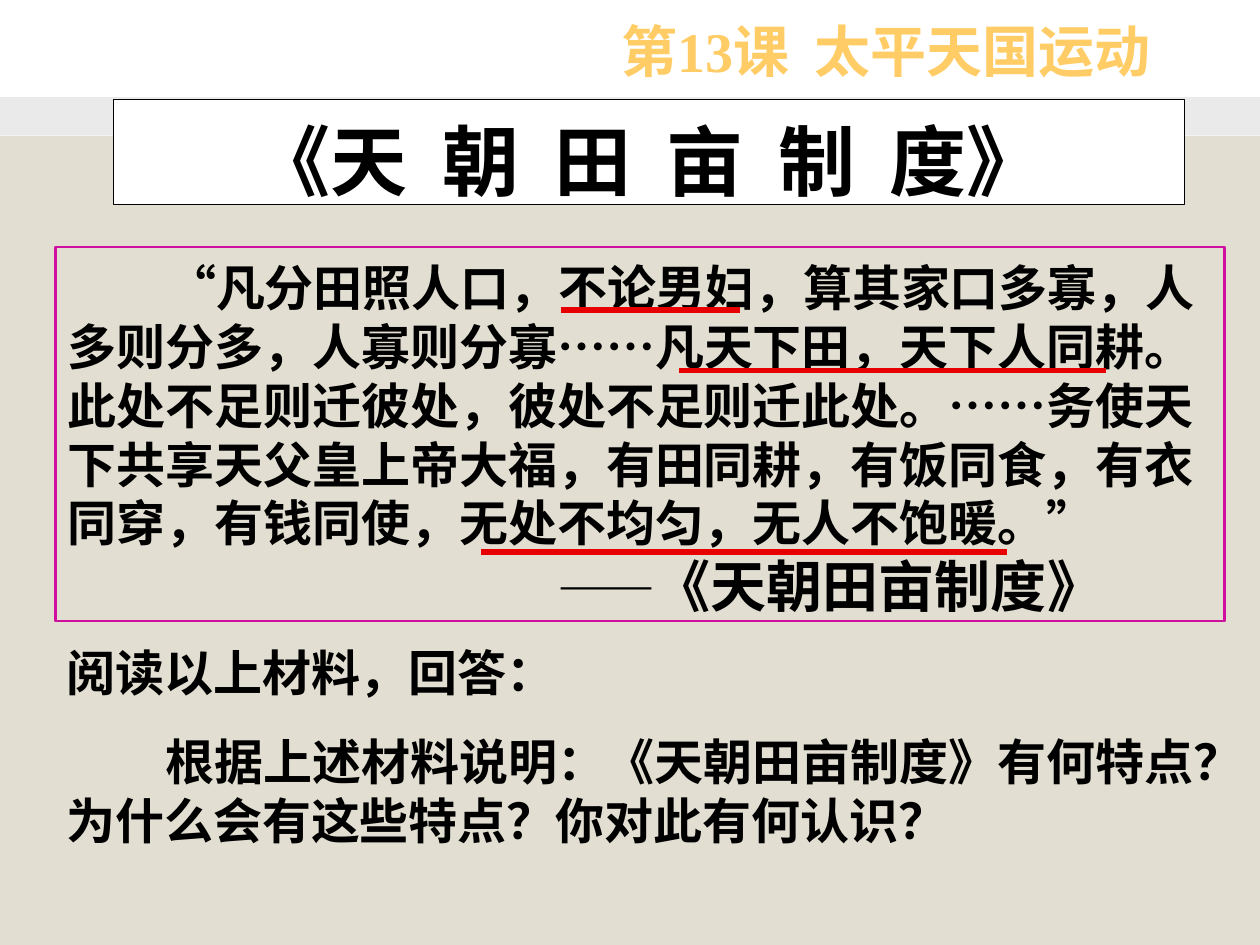
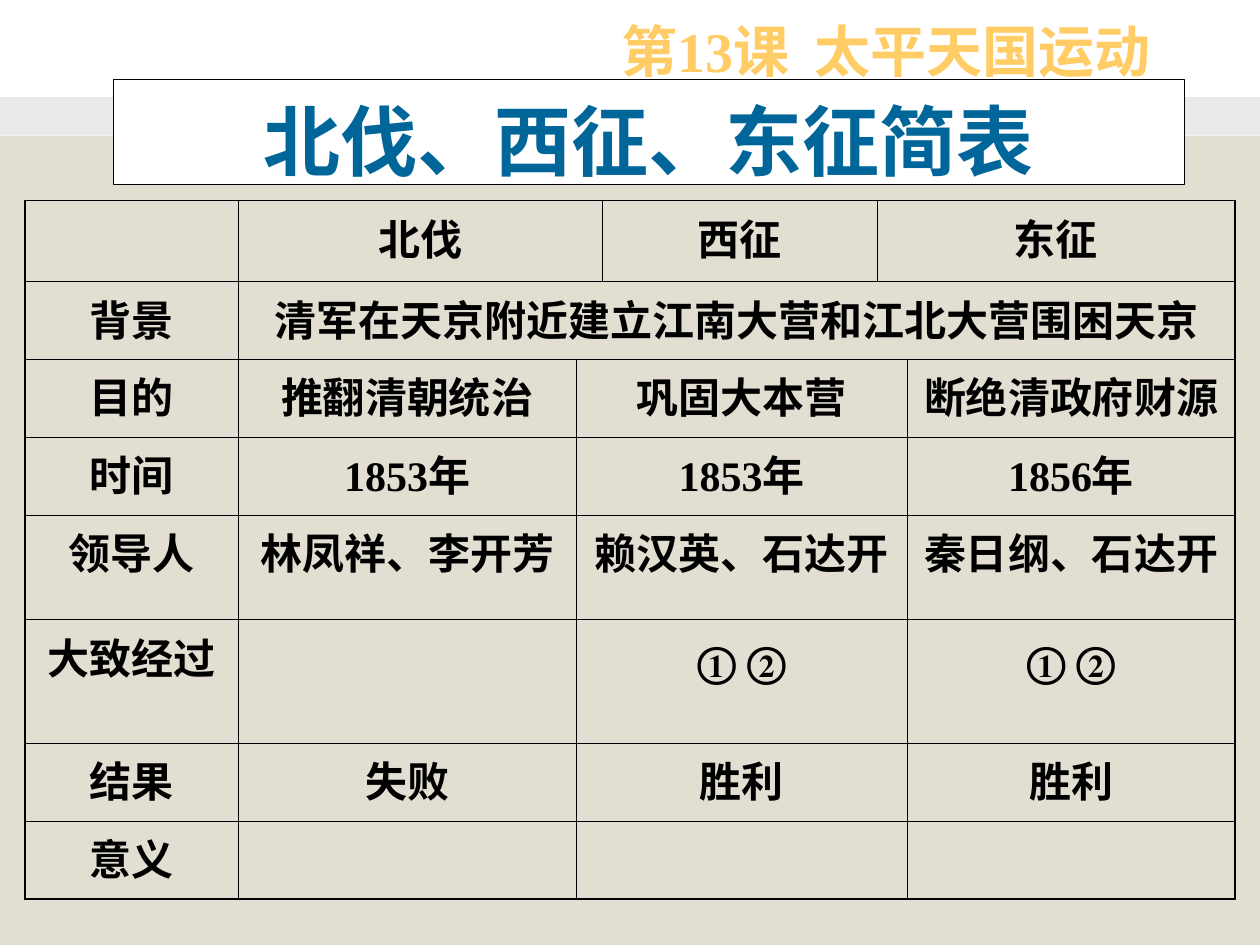
from dataclasses import dataclass

from lxml import etree
from pptx import Presentation
from pptx.dml.color import RGBColor
from pptx.enum.shapes import MSO_CONNECTOR, MSO_SHAPE
from pptx.enum.text import MSO_ANCHOR, PP_ALIGN
from pptx.oxml.ns import qn
from pptx.util import Cm, Pt

RECTANGLE = MSO_SHAPE.RECTANGLE
STRAIGHT = MSO_CONNECTOR.STRAIGHT
TOP = MSO_ANCHOR.TOP
LEFT, CENTER = PP_ALIGN.LEFT, PP_ALIGN.CENTER


@dataclass(frozen=True)
class Theme:
    ink: str = "000000"
    paper: str = "FFFFFF"
    band: str = "EAEAEA"
    ground: str = "E2DFD2"
    lesson: str = "FFCC66"
    heading: str = "006699"
    frame: str = "CF0F9D"
    mark: str = "E80000"
    serif: str = "Times New Roman"
    sans: str = "Arial"
    chinese: str = "Noto Sans CJK SC"
    title_size: int = 44
    large_size: int = 32
    body_size: int = 28
    table_size: int = 24
    single_line: float = 1.3
    body_line: float = 1.2
    thin: float = 0.45
    thick: float = 1.08


THEME = Theme()

LESSON = "第13课  太平天国运动"

DECREE_TITLE = "《天  朝  田  亩  制  度》"
DECREE = [
    ("“", THEME.sans),
    ("凡分田照人口，不论男妇，算其家口多寡，人多则分多，人寡则分寡", THEME.serif),
    ("……", THEME.sans),
    ("凡天下田，天下人同耕。此处不足则迁彼处，彼处不足则迁此处。", THEME.serif),
    ("……", THEME.sans),
    ("务使天下共享天父皇上帝大福，有田同耕，有饭同食，有衣同穿，有钱同使，"
     "无处不均匀，无人不饱暖。", THEME.serif),
    ("”", THEME.sans),
]
DECREE_DASH = "——"
DECREE_SOURCE = "《天朝田亩制度》"
TASK = "阅读以上材料，回答："
QUESTION = "根据上述材料说明：《天朝田亩制度》有何特点？为什么会有这些特点？你对此有何认识？"
UNDERLINES = [(13.69, 22.3, 7.47), (9.7, 20.29, 11.13), (11.3, 14.91, 6.25)]

CAMPAIGN_TITLE = "北伐、西征、东征简表"
COLUMN_WIDTHS = [4.29, 6.81, 0.53, 5.54, 0.61, 6.6]
ROW_HEIGHTS = [1.63, 1.57, 1.57, 1.57, 2.11, 2.49, 1.57, 1.57]
HEADER_SPANS, BACKGROUND_SPANS, CAMPAIGN_SPANS = (1, 2, 1, 2), (1, 5), (1, 1, 3, 1)
CAMPAIGNS = [
    (HEADER_SPANS, ["", "北伐", "西征", "东征"]),
    (BACKGROUND_SPANS, ["背景", "清军在天京附近建立江南大营和江北大营围困天京"]),
    (CAMPAIGN_SPANS, ["目的", "推翻清朝统治", "巩固大本营", "断绝清政府财源"]),
    (CAMPAIGN_SPANS, ["时间", "1853年", "1853年", "1856年"]),
    (CAMPAIGN_SPANS, ["领导人", "林凤祥、李开芳", "赖汉英、石达开", "秦日纲、石达开"]),
    (CAMPAIGN_SPANS, ["大致经过", "", "① ②", "① ②"]),
    (CAMPAIGN_SPANS, ["结果", "失败", "胜利", "胜利"]),
    (CAMPAIGN_SPANS, ["意义", "", "", ""]),
]


def color(value):
    return RGBColor.from_string(value)


def add_span(para, text, size, ink=THEME.ink, font=THEME.serif):
    span = para.add_run()
    span.text = text
    span.font.size = Pt(size)
    span.font.bold = True
    span.font.name = font
    span.font.color.rgb = color(ink)
    east_asian = etree.SubElement(span.font._element, qn("a:ea"))
    east_asian.set("typeface", THEME.chinese)


def format_para(para, size, line=THEME.single_line, align=LEFT, before=0, left=0, first=0):
    para.alignment = align
    para.line_spacing = Pt(round(size * line, 1))
    para.space_before = Pt(before)
    properties = para._p.get_or_add_pPr()
    properties.set("marL", str(Cm(left)))
    properties.set("indent", str(Cm(first)))


def write(para, text, size, ink=THEME.ink, font=THEME.serif, **layout):
    format_para(para, size, **layout)
    add_span(para, text, size, ink, font)


def prepare_frame(box, top=0.13):
    frame = box.text_frame
    frame.word_wrap = True
    frame.vertical_anchor = TOP
    frame.margin_left = frame.margin_right = Cm(0.25)
    frame.margin_top, frame.margin_bottom = Cm(top), Cm(0.13)
    return frame


def add_box(page, left, top, width, height, fill=None, line=None, weight=0.75):
    box = page.shapes.add_shape(RECTANGLE, Cm(left), Cm(top), Cm(width), Cm(height))
    box.shadow.inherit = False
    if fill:
        box.fill.solid()
        box.fill.fore_color.rgb = color(fill)
    else:
        box.fill.background()
    if line:
        box.line.color.rgb = color(line)
        box.line.width = Pt(weight)
    else:
        box.line.fill.background()
    return box


def add_page(deck):
    page = deck.slides.add_slide(deck.slide_layouts[6])
    page.background.fill.solid()
    page.background.fill.fore_color.rgb = color(THEME.paper)
    lesson = page.shapes.add_textbox(Cm(12.27), Cm(0.1), Cm(12.7), Cm(1.63))
    write(prepare_frame(lesson).paragraphs[0], LESSON, THEME.large_size, THEME.lesson)
    add_box(page, 0, 1.96, 25.4, 0.77, fill=THEME.band)
    add_box(page, 0, 2.74, 25.4, 16.31, fill=THEME.ground)
    return page


def add_title(page, text, top, **style):
    box = add_box(page, 2.29, top, 21.59, 2.12, THEME.paper, THEME.ink)
    write(prepare_frame(box).paragraphs[0], text, THEME.title_size, align=CENTER, **style)


def add_underline(page, start, end, height):
    line = page.shapes.add_connector(STRAIGHT, Cm(start), Cm(height), Cm(end), Cm(height))
    line.line.color.rgb = color(THEME.mark)
    line.line.width = Pt(3)
    etree.SubElement(line._element.spPr, qn("a:effectLst"))


def build_decree(deck):
    page = add_page(deck)
    size, line = THEME.body_size, THEME.body_line

    decree = prepare_frame(add_box(page, 1.12, 4.98, 23.57, 7.54, line=THEME.frame, weight=1.5),
                           top=0.22)
    verse = decree.paragraphs[0]
    format_para(verse, size, line=line, first=2)
    for text, font in DECREE:
        add_span(verse, text, size, font=font)
    source = decree.add_paragraph()
    format_para(source, THEME.large_size, line=line, left=9.86)
    add_span(source, DECREE_DASH, size, font=THEME.chinese)
    add_span(source, DECREE_SOURCE, THEME.large_size)

    task_box = page.shapes.add_textbox(Cm(1.09), Cm(12.73), Cm(23.39), Cm(4.45))
    task = prepare_frame(task_box, top=0.22)
    write(task.paragraphs[0], TASK, size, line=line)
    write(task.add_paragraph(), QUESTION, size, line=line, before=17.5, first=2)

    for underline in UNDERLINES:
        add_underline(page, *underline)
    add_title(page, DECREE_TITLE, 2.01)


def add_borders(cell, weights):
    properties = cell._tc.get_or_add_tcPr()
    for position, (side, weight) in enumerate(weights.items()):
        border = etree.Element(qn(f"a:ln{side}"), w=str(Pt(weight)))
        fill = etree.SubElement(border, qn("a:solidFill"))
        etree.SubElement(fill, qn("a:srgbClr"), val=THEME.ink)
        properties.insert(position, border)


def add_campaign_table(page):
    rows, columns = len(ROW_HEIGHTS), len(COLUMN_WIDTHS)
    table = page.shapes.add_table(rows, columns, Cm(0.51), Cm(4.04),
                                  Cm(sum(COLUMN_WIDTHS)), Cm(sum(ROW_HEIGHTS))).table
    table.first_row = table.horz_banding = False
    for column, width in zip(table.columns, COLUMN_WIDTHS):
        column.width = Cm(width)
    for row, height in zip(table.rows, ROW_HEIGHTS):
        row.height = Cm(height)

    def weight(outer):
        return THEME.thick if outer else THEME.thin

    for row, (spans, texts) in enumerate(CAMPAIGNS):
        start = 0
        for width, text in zip(spans, texts):
            end = start + width
            for column in range(start, end):
                cell = table.cell(row, column)
                cell.fill.background()
                sides = {"L": weight(start == 0), "R": weight(end == columns),
                         "T": weight(row == 0), "B": weight(row == rows - 1)}
                if column > start:
                    del sides["L"]
                add_borders(cell, sides)
            cell = table.cell(row, start)
            if width > 1:
                cell.merge(table.cell(row, end - 1))
            cell.vertical_anchor = TOP
            cell.margin_left = cell.margin_right = Cm(0.25)
            cell.margin_top, cell.margin_bottom = Cm(0.25), Cm(0.13)
            if text:
                write(cell.text_frame.paragraphs[0], text, THEME.table_size, align=CENTER)
            start = end


def build_campaigns(deck):
    page = add_page(deck)
    add_title(page, CAMPAIGN_TITLE, 1.6, ink=THEME.heading, font=THEME.sans)
    add_campaign_table(page)


def main():
    deck = Presentation()
    deck.slide_width, deck.slide_height = Cm(25.4), Cm(19.05)
    build_decree(deck)
    build_campaigns(deck)
    deck.save("out.pptx")


if __name__ == "__main__":
    main()
